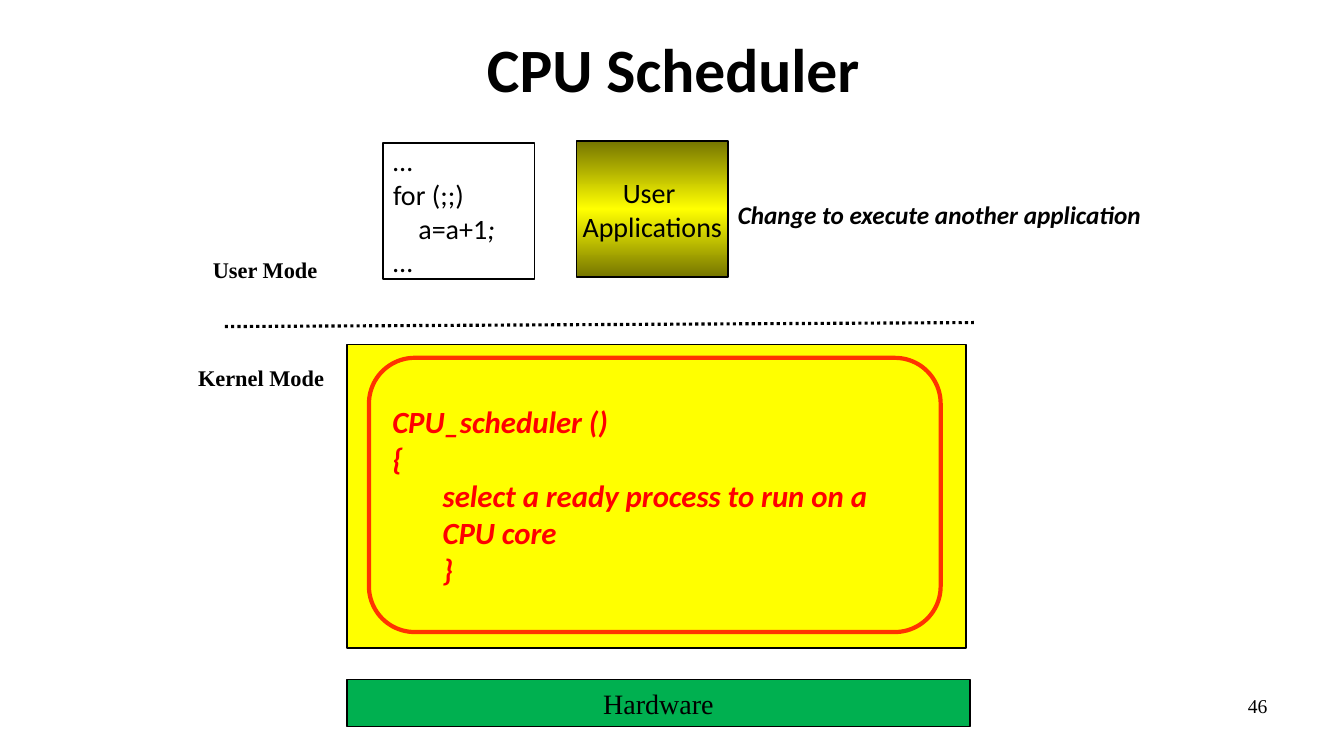
from copy import deepcopy

from lxml.etree import SubElement
from pptx import Presentation
from pptx.dml.color import RGBColor
from pptx.enum.dml import MSO_LINE
from pptx.enum.shapes import MSO_CONNECTOR, MSO_SHAPE
from pptx.enum.text import MSO_ANCHOR, PP_ALIGN
from pptx.oxml.ns import qn
from pptx.util import Inches, Pt

LEFT, CENTER, RIGHT = PP_ALIGN.LEFT, PP_ALIGN.CENTER, PP_ALIGN.RIGHT
TOP, MIDDLE = MSO_ANCHOR.TOP, MSO_ANCHOR.MIDDLE
SERIF = "Times New Roman"


def add_text(sp, lines, size=20, font="Calibri", color="000000", bold=False,
             italic=False, align=LEFT, anchor=MIDDLE, wrap=False):
    tf = sp.text_frame
    tf.word_wrap = wrap
    tf.vertical_anchor = anchor
    for i, line in enumerate(lines):
        p = tf.paragraphs[0] if i == 0 else tf.add_paragraph()
        p.alignment = align
        r = p.add_run()
        r.text = line
        r.font.size, r.font.name = Pt(size), font
        r.font.bold, r.font.italic = bold, italic
        r.font.color.rgb = RGBColor.from_string(color)


def add_box(kind, x, y, w, h, fill=None, line="000000", width=1):
    sp = s.shapes.add_shape(kind, Inches(x), Inches(y), Inches(w), Inches(h))
    sp.shadow.inherit = False
    if fill:
        sp.fill.solid()
        sp.fill.fore_color.rgb = RGBColor.from_string(fill)
    else:
        sp.fill.background()
    sp.line.color.rgb = RGBColor.from_string(line)
    sp.line.width = Pt(width)
    return sp


prs = Presentation()
prs.slide_width, prs.slide_height = Inches(13.33), Inches(7.5)
s = prs.slides.add_slide(prs.slide_layouts[5])

title = s.shapes.title
title.left, title.top = Inches(0.68), Inches(0.05)
title.width, title.height = Inches(12), Inches(1.25)
add_text(title, ["CPU Scheduler"], size=44, bold=True, align=CENTER, wrap=True)

# Boundary between user mode and kernel mode
boundary = s.shapes.add_connector(MSO_CONNECTOR.STRAIGHT, Inches(2.23), Inches(3.24),
                                  Inches(9.66), Inches(3.2))
boundary.line.color.rgb = RGBColor.from_string("000000")
boundary.line.width = Pt(2.25)
boundary.line.dash_style = MSO_LINE.ROUND_DOT
SubElement(boundary._element.spPr, qn("a:effectLst"))

# Hardware and kernel
hardware = add_box(MSO_SHAPE.RECTANGLE, 3.44, 6.74, 6.18, 0.47, "00B050")
add_text(hardware, ["Hardware"], font=SERIF, align=CENTER)
add_box(MSO_SHAPE.RECTANGLE, 3.44, 3.42, 6.14, 3.01, "FFFF00")

scheduler = add_box(MSO_SHAPE.ROUNDED_RECTANGLE, 3.66, 3.55, 5.67, 2.72,
                    line="FF3300", width=3)
add_text(scheduler, ["CPU_scheduler ()", "{",
                     "select a ready process to run on a CPU core", "}"],
         size=22, color="FF0000", bold=True, italic=True, wrap=True)
for p in scheduler.text_frame.paragraphs[2:]:
    pPr = p._p.get_or_add_pPr()
    pPr.set("marL", str(Inches(0.5)))
    pPr.set("indent", "0")

# User programs
code = add_box(MSO_SHAPE.RECTANGLE, 3.8, 1.42, 1.5, 1.35, "FFFFFF")
add_text(code, ["…", "for (;;)", "    a=a+1", "…"])
p = code.text_frame.paragraphs[2]
r = p.add_run()
r.text = ";"
r._r.insert(0, deepcopy(p.runs[0]._r.rPr))
r.font.italic = True

apps = add_box(MSO_SHAPE.RECTANGLE, 5.72, 1.4, 1.5, 1.35)
apps.fill.gradient()
apps.fill.gradient_angle = 90
stops = apps._element.spPr.find(qn("a:gradFill")).find(qn("a:gsLst"))
stops.insert(1, deepcopy(stops[0]))
for stop, position, color in zip(apps.fill.gradient_stops, (0, 0.5, 1),
                                 ("767600", "FFFF00", "767600")):
    stop.position = position
    stop.color.rgb = RGBColor.from_string(color)
add_text(apps, ["User ", "Applications"], align=CENTER)

# Labels and page number
labels = [
    ("User Mode", 2.01, 2.49, 1.24, 0.37,
     dict(size=16, font=SERIF, bold=True, align=CENTER)),
    ("Kernel Mode", 1.86, 3.56, 1.46, 0.37,
     dict(size=16, font=SERIF, bold=True, align=CENTER)),
    ("Change to execute another application", 7.22, 1.93, 4.37, 0.4,
     dict(size=18, bold=True, italic=True, wrap=True)),
    ("46", 9.56, 6.83, 3.11, 0.52,
     dict(size=14, font=SERIF, align=RIGHT, wrap=True)),
]
for text, x, y, w, h, style in labels:
    label = s.shapes.add_textbox(Inches(x), Inches(y), Inches(w), Inches(h))
    add_text(label, [text], anchor=TOP, **style)

prs.save("out.pptx")
